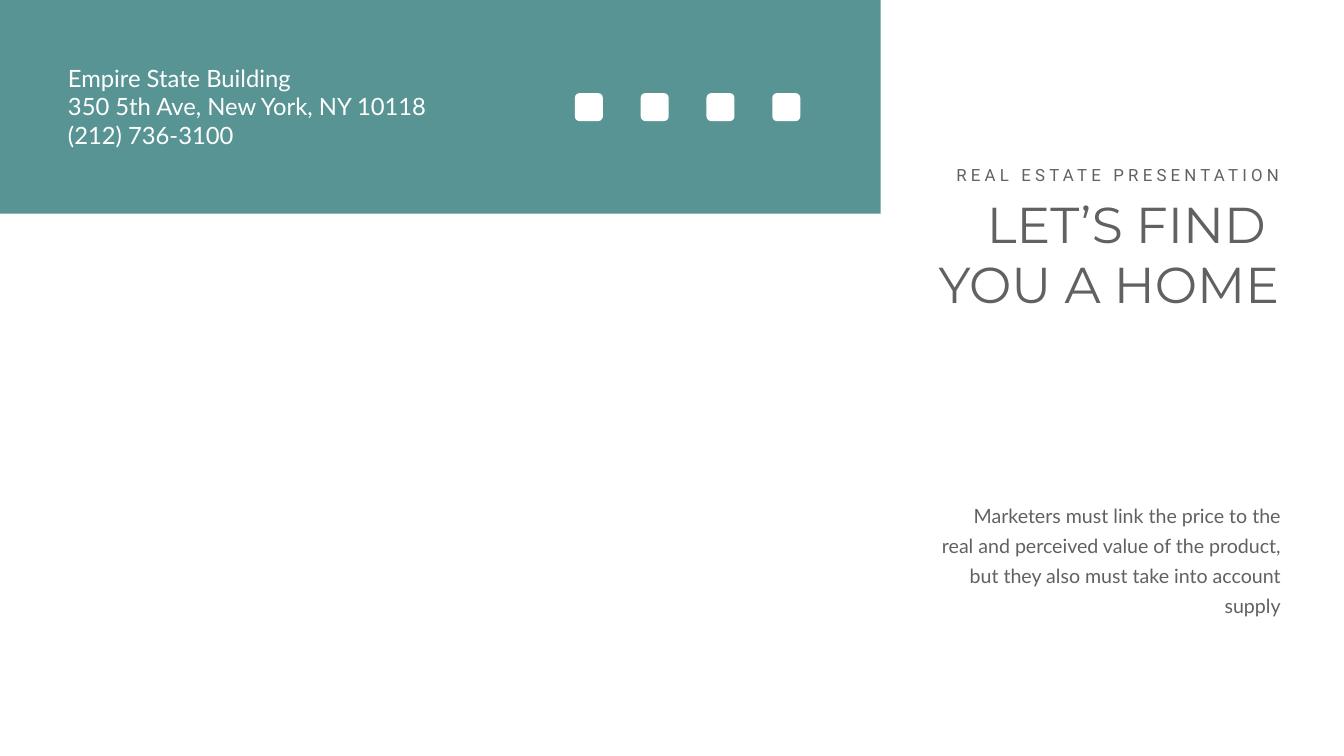
from pptx import Presentation
from pptx.dml.color import RGBColor
from pptx.enum.shapes import MSO_SHAPE
from pptx.enum.text import MSO_AUTO_SIZE, PP_ALIGN
from pptx.util import Pt

COLOURS = {"teal": "599494", "white": "FFFFFF", "grey": "606160"}


def add_span(para, text, font, size, colour, spacing=0):
    span = para.add_run()
    span.text = text
    span.font.name = font
    span.font.size = Pt(size)
    span.font.color.rgb = RGBColor.from_string(COLOURS[colour])
    if spacing:
        span.font._element.set("spc", str(spacing * 100))


class SlideBuilder:
    def __init__(self, page):
        self.page = page
        fill = page.background.fill
        fill.solid()
        fill.fore_color.rgb = RGBColor.from_string(COLOURS["white"])

    def shape(self, kind, left, top, width, height, colour):
        shape = self.page.shapes.add_shape(kind, Pt(left), Pt(top), Pt(width), Pt(height))
        shape.shadow.inherit = False
        shape.fill.solid()
        shape.fill.fore_color.rgb = RGBColor.from_string(COLOURS[colour])
        shape.line.fill.background()

    def text(self, lines, left, top, width, height, align=PP_ALIGN.RIGHT, line_height=None, **style):
        box = self.page.shapes.add_textbox(Pt(left), Pt(top), Pt(width), Pt(height))
        frame = box.text_frame
        frame.word_wrap = True
        frame.auto_size = MSO_AUTO_SIZE.SHAPE_TO_FIT_TEXT
        for index, line in enumerate(lines):
            para = frame.add_paragraph() if index else frame.paragraphs[0]
            para.alignment = align
            if line_height:
                para.line_spacing = Pt(line_height)
            add_span(para, line, **style)


def main():
    deck = Presentation()
    deck.slide_width = Pt(1919.52)
    deck.slide_height = Pt(1080)
    builder = SlideBuilder(deck.slides.add_slide(deck.slide_layouts[6]))

    builder.shape(MSO_SHAPE.RECTANGLE, 0, 0, 1257.84, 305.28, "teal")
    builder.text(
        ["Empire State Building", "350 5th Ave, New York, NY 10118", "(212) 736-3100"],
        90, 87.12, 582.48, 131.04, align=PP_ALIGN.LEFT, font="Lato", size=34, colour="white",
    )
    for column in range(4):
        builder.shape(MSO_SHAPE.ROUNDED_RECTANGLE, 821 + 94 * column, 133, 40, 40, "white")

    builder.text(
        ["LET’S FIND ", "YOU A HOME"],
        1310.4, 272.16, 523.44, 181.44, font="Montserrat", size=72, colour="grey",
    )
    builder.text(
        ["REAL ESTATE PRESENTATION"],
        1329.12, 231.12, 504.72, 36, font="Roboto", size=24, colour="grey", spacing=6,
    )
    builder.text(
        ["Marketers must link the price to the real and perceived value of the product, "
         "but they also must take into account supply"],
        1333.44, 707.04, 502.56, 132.48, line_height=43, font="Lato", size=28, colour="grey",
    )
    deck.save("out.pptx")


if __name__ == "__main__":
    main()
